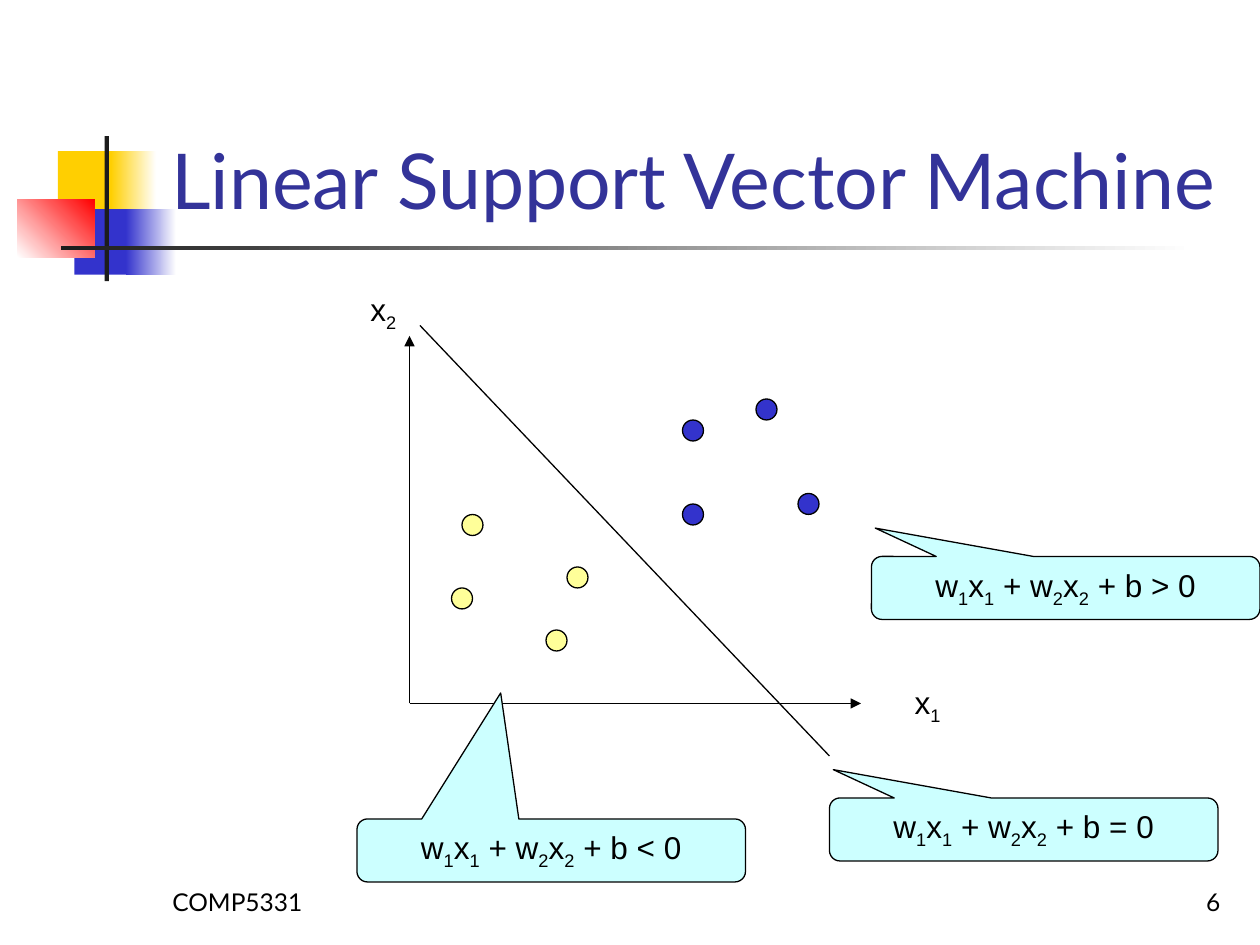
from dataclasses import dataclass
from typing import NamedTuple

from pptx import Presentation
from pptx.dml.color import RGBColor
from pptx.enum.shapes import MSO_CONNECTOR, MSO_SHAPE
from pptx.enum.text import MSO_ANCHOR, PP_ALIGN
from pptx.oxml.ns import qn
from pptx.util import Pt
from lxml.etree import SubElement


@dataclass(frozen=True)
class Theme:
    black: str = "000000"
    white: str = "FFFFFF"
    dark: str = "1C1C1C"
    gold: str = "FFCF01"
    blue: str = "3333CC"
    red: str = "FF0000"
    title: str = "333399"
    pale: str = "FFFF99"
    cyan: str = "CCFFFF"
    head: str = "Lato"
    body: str = "Arial"
    big: float = 44
    mid: float = 18
    small: float = 14
    thin: float = 0.75


class Box(NamedTuple):
    left: float
    top: float
    width: float
    height: float


class Block(NamedTuple):
    """A rectangle that fades from start to end, or is solid without end."""
    box: Box
    start: str
    end: str = ""
    angle: float = 0


class Label(NamedTuple):
    box: Box
    text: str
    size: float
    font: str
    color: str
    align: PP_ALIGN = PP_ALIGN.LEFT
    anchor: MSO_ANCHOR = MSO_ANCHOR.BOTTOM


class Line(NamedTuple):
    start: tuple[float, float]
    end: tuple[float, float]
    arrow: bool = False


class Callout(NamedTuple):
    left: float
    top: float
    tip: tuple[float, float]
    sign: str


T = Theme()
DOT = 12

BLOCKS = [
    Block(Box(33.1, 86.4, 34.6, 37.4), T.gold),
    Block(Box(63.4, 86.4, 25.9, 37.4), T.gold, T.white),
    Block(Box(42.5, 119.5, 33.1, 37.4), T.blue),
    Block(Box(72, 119.5, 28.8, 37.4), T.blue, T.white),
    Block(Box(10, 113.8, 44, 33.1), T.white, T.red, 45),
    Block(Box(59.8, 77.8, 2.4, 82.8), T.dark),
    Block(Box(34.6, 140.4, 648, 2.4), T.dark, T.white),
]
LABELS = [
    Label(Box(91.4, 491.5, 150, 36), "COMP5331", T.small, T.head, T.black),
    Label(Box(554.4, 491.5, 150, 36), "6", T.small, T.head, T.black,
          PP_ALIGN.RIGHT),
    Label(Box(90.7, 16.6, 613.4, 115.2), "Linear Support Vector Machine",
          T.big, T.head, T.title),
]
AXES = [
    Label(Box(left, top, 32, 31.7), text, T.mid, T.body, T.black,
          anchor=MSO_ANCHOR.TOP)
    for left, top, text in [(515.5, 386.6, "x_1"), (204.5, 162, "x_2")]
]
LINES = [
    Line((234, 402), (492, 402), True),
    Line((234, 402), (234, 192), True),
    Line((240, 186), (474, 432)),
]
DOTS = {
    T.blue: [(432, 228), (456, 282), (390, 288), (390, 240)],
    T.pale: [(258, 336), (312, 360), (264, 294), (324, 324)],
}
CALLOUTS = [
    Callout(474, 456, (-0.49, -0.95), "="),
    Callout(498, 318, (-0.49, -0.95), ">"),
    Callout(204, 468, (-0.13, -2.5), "<"),
]


def rgb(code: str) -> RGBColor:
    return RGBColor.from_string(code)


def place(box: Box) -> list[Pt]:
    return [Pt(side) for side in box]


def draw_shape(slide, kind: MSO_SHAPE, box: Box, fill: str, edge: bool = True):
    shape = slide.shapes.add_shape(kind, *place(box))
    shape.shadow.inherit = False
    shape.fill.solid()
    shape.fill.fore_color.rgb = rgb(fill)
    if edge:
        shape.line.color.rgb = rgb(T.black)
        shape.line.width = Pt(T.thin)
    else:
        shape.line.fill.background()
    return shape


def draw_block(slide, block: Block) -> None:
    shape = draw_shape(slide, MSO_SHAPE.RECTANGLE, block.box, block.start, False)
    if block.end:
        shape.fill.gradient()
        shape.fill.gradient_angle = block.angle
        for stop, code in zip(shape.fill.gradient_stops, (block.start, block.end)):
            stop.color.rgb = rgb(code)


def write(shape, label: Label) -> None:
    """Fill a shape with text; a digit after "_" is a subscript."""
    frame = shape.text_frame
    frame.word_wrap = True
    frame.vertical_anchor = label.anchor
    para = frame.paragraphs[0]
    para.alignment = label.align
    para.font.size = Pt(label.size)
    para.font.name = label.font
    para.font.color.rgb = rgb(label.color)
    first, *rest = label.text.split("_")
    para.add_run().text = first
    for part in rest:
        sub = para.add_run()
        sub.text = part[0]
        sub.font._element.set("baseline", "-25000")
        if part[1:]:
            para.add_run().text = part[1:]


def draw_label(slide, label: Label) -> None:
    write(slide.shapes.add_textbox(*place(label.box)), label)


def draw_line(slide, line: Line) -> None:
    ends = [Pt(value) for value in line.start + line.end]
    shape = slide.shapes.add_connector(MSO_CONNECTOR.STRAIGHT, *ends)
    shape.line.color.rgb = rgb(T.black)
    shape.line.width = Pt(T.thin)
    if line.arrow:
        SubElement(shape.line._get_or_add_ln(), qn("a:tailEnd"), type="triangle")
    SubElement(shape._element.spPr, qn("a:effectLst"))


def draw_callout(slide, call: Callout) -> None:
    box = Box(call.left, call.top, 222, 36)
    shape = draw_shape(slide, MSO_SHAPE.ROUNDED_RECTANGULAR_CALLOUT, box, T.cyan)
    shape.adjustments[0], shape.adjustments[1] = call.tip
    text = f"w_1x_1 + w_2x_2 + b {call.sign} 0"
    write(shape, Label(box, text, T.mid, T.body, T.black,
                       PP_ALIGN.CENTER, MSO_ANCHOR.TOP))


def main() -> None:
    deck = Presentation()
    deck.slide_width, deck.slide_height = Pt(720), Pt(540)
    slide = deck.slides.add_slide(deck.slide_layouts[6])
    for block in BLOCKS:
        draw_block(slide, block)
    for label in LABELS:
        draw_label(slide, label)
    for line in LINES:
        draw_line(slide, line)
    for color, spots in DOTS.items():
        for left, top in spots:
            draw_shape(slide, MSO_SHAPE.OVAL, Box(left, top, DOT, DOT), color)
    for label in AXES:
        draw_label(slide, label)
    for call in CALLOUTS:
        draw_callout(slide, call)
    deck.save("out.pptx")


if __name__ == "__main__":
    main()
